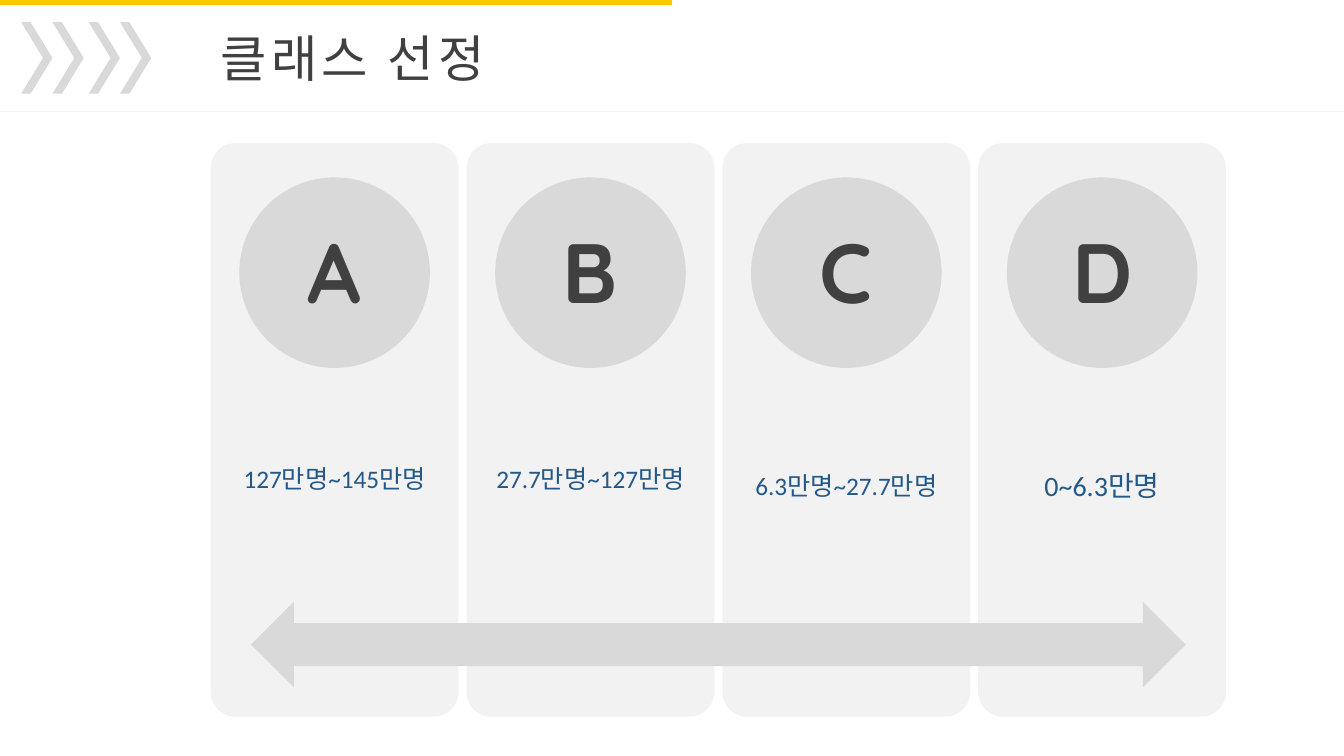
from lxml.etree import SubElement
from pptx import Presentation
from pptx.dml.color import RGBColor
from pptx.enum.shapes import MSO_CONNECTOR, MSO_SHAPE as Shape
from pptx.enum.text import MSO_ANCHOR as Anchor, PP_ALIGN as Align
from pptx.oxml.ns import qn
from pptx.util import Inches, Pt

GOLD, DARK, BLUE = "FEC800", "404040", "235888"
LIGHT, MIDDLE = "F2F2F2", "D9D9D9"
TITLE_FONT = "Noto Sans CJK KR"
CLASSES = [
    ("A", "127만명~145만명", 18, 0.14),
    ("B", "27.7만명~127만명", 18, 0.14),
    ("C", "6.3만명~27.7만명", 18, 0),
    ("D", "0~6.3만명", 20, 0),
]


def color(value):
    """Turn a hex string into a colour."""
    return RGBColor.from_string(value)


def add_filled(slide, kind, box, fill, adjustment=None):
    """Add a preset shape with a flat fill and no outline."""
    shape = slide.shapes.add_shape(kind, *map(Inches, box))
    shape.shadow.inherit = False
    shape.fill.solid()
    shape.fill.fore_color.rgb = color(fill)
    shape.line.fill.background()
    if adjustment is not None:
        shape.adjustments[0] = adjustment
    return shape


def write(shape, text, font_name, size, fill, align=Align.CENTER, bold=False):
    """Write one styled paragraph in a shape and return it."""
    paragraph = shape.text_frame.paragraphs[0]
    paragraph.text = text
    paragraph.alignment = align
    font = paragraph.font
    font.name, font.size, font.bold = font_name, Pt(size), bold
    font.color.rgb = color(fill)
    return paragraph


def add_header(slide, left, top, width, height):
    """Draw the gold bar, chevrons, title and dividing line."""
    add_filled(slide, Shape.RECTANGLE, (left, top, width / 2, 0.05), GOLD)
    for offset in (0.21, 0.52, 0.88, 1.19):
        box = (left + offset, top + 0.22, 0.31, 0.71)
        add_filled(slide, Shape.CHEVRON, box, MIDDLE, 0.7)

    title_box = (left + 2.09, top + 0.22, 3.16, 0.71)
    title = slide.shapes.add_textbox(*map(Inches, title_box))
    title.text_frame.word_wrap = False
    paragraph = write(title, "클래스 선정", TITLE_FONT, 36, DARK, Align.LEFT)
    properties = paragraph.runs[0]._r.get_or_add_rPr()
    properties.set("spc", "300")
    SubElement(properties, qn("a:ea")).set("typeface", TITLE_FONT)

    bottom = Inches(top + height)
    divider = slide.shapes.add_connector(
        MSO_CONNECTOR.STRAIGHT, Inches(left), bottom, Inches(left + width), bottom)
    divider.line.color.rgb = color(LIGHT)
    divider.line.width = Pt(0.5)
    SubElement(divider._element.spPr, qn("a:effectLst"))


def add_class_card(slide, left, top, width, height, entry):
    """Draw one class card with its letter disc and population range."""
    letter, population, size, lift = entry
    card = add_filled(slide, Shape.ROUNDED_RECTANGLE,
                      (left, top, width, height), LIGHT, 0.1)
    frame = card.text_frame
    frame.word_wrap = True
    frame.vertical_anchor = Anchor.MIDDLE
    frame.margin_left = frame.margin_right = Inches(0.15)
    frame.margin_top, frame.margin_bottom = Inches(2.44), Inches(1.3 + lift)
    write(card, population, "Calibri", size, BLUE).line_spacing = 0.9

    disc, label_width = 1.89, 0.83
    disc_box = (left + (width - disc) / 2, top + 0.34, disc, disc)
    add_filled(slide, Shape.OVAL, disc_box, MIDDLE)
    label_box = (left + (width - label_width) / 2, top + 0.71, label_width, 1.11)
    label = slide.shapes.add_textbox(*map(Inches, label_box))
    label.text_frame.word_wrap = True
    write(label, letter, "Quicksand", 60, DARK, bold=True)


def add_classes(slide, left, top, width, height):
    """Draw the row of class cards and the arrow across them."""
    gap = 0.08
    card_width = (width - gap * (len(CLASSES) - 1)) / len(CLASSES)
    for index, entry in enumerate(CLASSES):
        card_left = left + index * (card_width + gap)
        add_class_card(slide, card_left, top, card_width, height, entry)
    arrow_box = (left + 0.4, top + 4.55, width - 0.8, 0.85)
    add_filled(slide, Shape.LEFT_RIGHT_ARROW, arrow_box, MIDDLE)


def main():
    """Build and save the class selection slide."""
    presentation = Presentation()
    presentation.slide_width = Inches(13.33)
    presentation.slide_height = Inches(7.5)
    slide = presentation.slides.add_slide(presentation.slide_layouts[6])
    add_header(slide, 0, 0, 13.33, 1.1)
    add_classes(slide, 2.09, 1.42, 10.07, 5.69)
    presentation.save("out.pptx")


if __name__ == "__main__":
    main()
